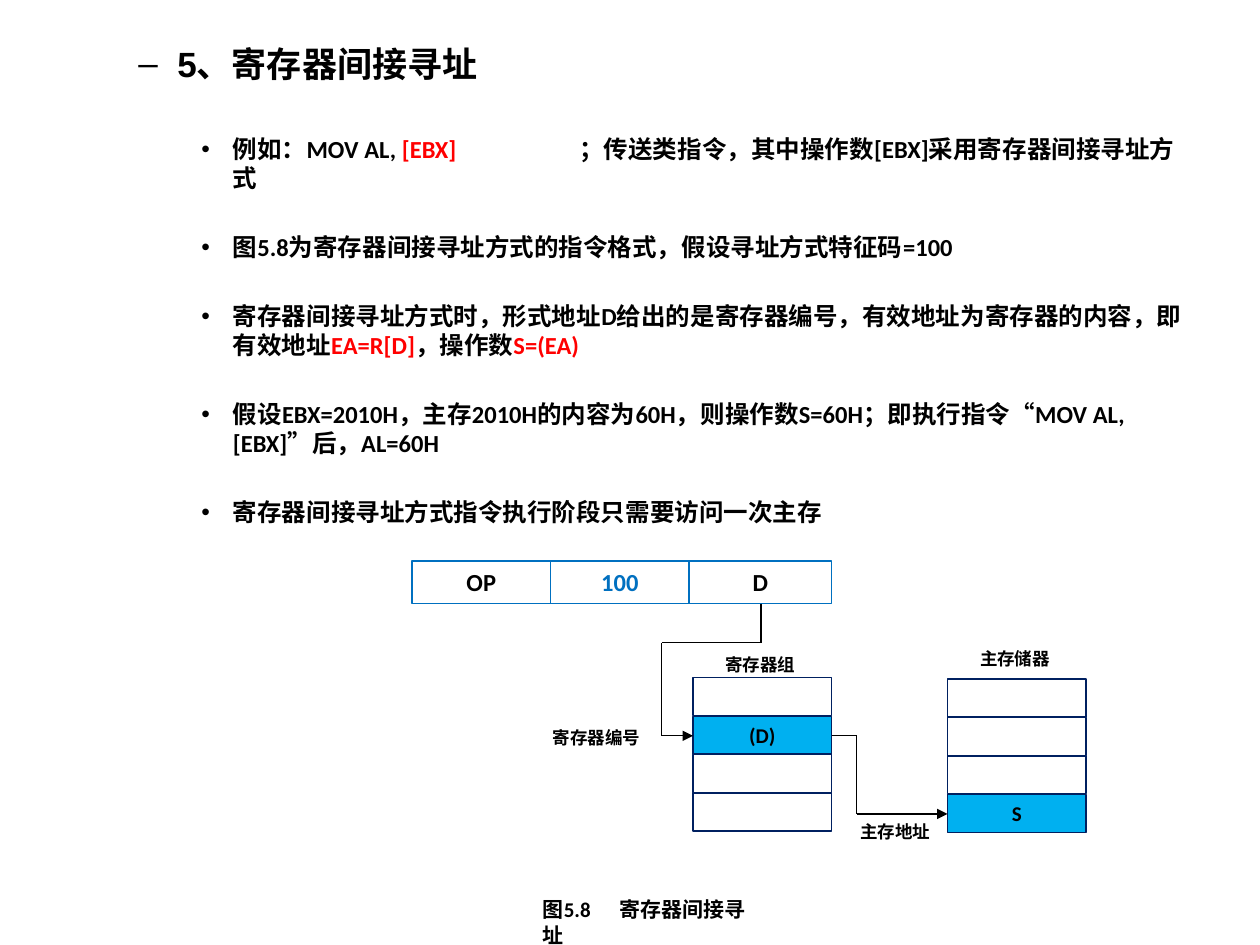
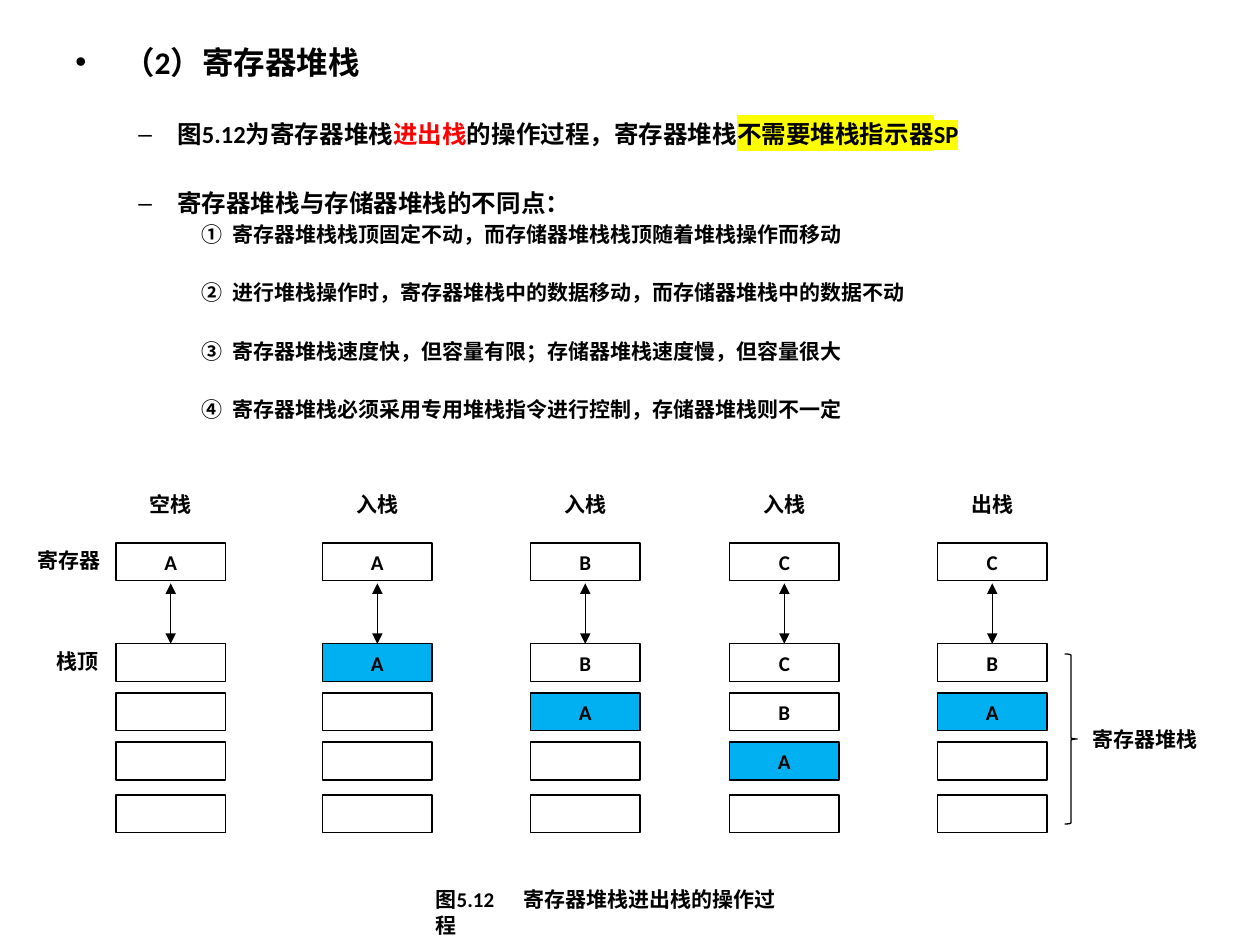
from itertools import pairwise

from lxml.etree import SubElement
from pptx import Presentation
from pptx.dml.color import RGBColor
from pptx.enum.shapes import MSO_CONNECTOR, MSO_SHAPE
from pptx.enum.text import MSO_ANCHOR, PP_ALIGN
from pptx.oxml.ns import qn
from pptx.util import Inches, Pt

BLACK = RGBColor(0x00, 0x00, 0x00)
WHITE = RGBColor(0xFF, 0xFF, 0xFF)
RED = RGBColor(0xFF, 0x00, 0x00)
YELLOW = RGBColor(0xFF, 0xFF, 0x00)
BLUE = RGBColor(0x00, 0x70, 0xC0)
NAVY = RGBColor(0x00, 0x20, 0x60)
SKY = RGBColor(0x00, 0xB0, 0xF0)

COLS, ROWS = 100, 75
# level: (left indent, hanging indent) in inches
INDENTS = {0: (0.38, 0.38), 1: (0.81, 0.31), 2: (1.25, 0.25)}
DOT, DASH, CIRCLED = "•", "–", "circleNumDbPlain"


class Deck:
    """Holds the shared style and the current slide; lengths are grid columns and rows."""

    font = "Calibri"

    def __init__(self):
        self.prs = Presentation()
        self.prs.slide_width, self.prs.slide_height = Inches(10), Inches(7.5)
        self.s = None

    def new_slide(self):
        self.s = self.prs.slides.add_slide(self.prs.slide_layouts[6])

    def x(self, cols):
        return round(self.prs.slide_width * cols / COLS)

    def y(self, rows):
        return round(self.prs.slide_height * rows / ROWS)

    def area(self, left, top, width, height):
        return self.x(left), self.y(top), self.x(width), self.y(height)

    def style(self, r, size, color=BLACK, font=None, highlight=None):
        r.font.size, r.font.bold = Pt(size), True
        r.font.color.rgb = color
        r.font.name = font or self.font
        rPr = r._r.get_or_add_rPr()
        rPr.set("lang", "zh-CN")
        if highlight:
            mark = SubElement(rPr, qn("a:highlight"))
            SubElement(mark, qn("a:srgbClr")).set("val", str(highlight))
            rPr.find(qn("a:latin")).addprevious(mark)

    def tabs(self, p, *stops):
        tab_list = SubElement(p._p.get_or_add_pPr(), qn("a:tabLst"))
        for stop in stops:
            tab = SubElement(tab_list, qn("a:tab"))
            tab.set("pos", str(Inches(stop)))
            tab.set("algn", "l")

    def bullet(self, p, level, mark):
        p.level = level
        pPr = p._p.get_or_add_pPr()
        left, hanging = INDENTS[level]
        pPr.set("marL", str(Inches(left)))
        pPr.set("indent", str(-Inches(hanging)))
        if mark == CIRCLED:
            SubElement(pPr, qn("a:buAutoNum")).set("type", mark)
        else:
            SubElement(pPr, qn("a:buFont")).set("typeface", "Arial")
            SubElement(pPr, qn("a:buChar")).set("char", mark)

    def outline(self, height, items):
        """Draw the bulleted text; an item is level, mark, size, space before, runs."""
        tf = self.s.shapes.add_textbox(*self.area(5, 2.9, 90, height)).text_frame
        tf.word_wrap = True
        for i, (level, mark, size, space, runs) in enumerate(items):
            p = tf.add_paragraph() if i else tf.paragraphs[0]
            p.space_before = Pt(space)
            self.bullet(p, level, mark)
            if any("\t" in text for text, _ in runs):
                # The same place, measured from the indent and from the box edge
                self.tabs(p, 2.75, 4)
            for text, look in runs:
                r = p.add_run()
                r.text = text
                self.style(r, size, **look)

    def label(self, left, top, width, text, size=12, align=PP_ALIGN.LEFT):
        tf = self.s.shapes.add_textbox(*self.area(left, top, width, 3)).text_frame
        tf.word_wrap = False
        tf.text = text
        p = tf.paragraphs[0]
        p.alignment = align
        self.style(p.runs[0], size)

    def caption(self, left, top, width, number, title, tab):
        tf = self.s.shapes.add_textbox(*self.area(left, top, width, 3)).text_frame
        tf.word_wrap = True
        p = tf.paragraphs[0]
        self.tabs(p, tab)
        r = p.add_run()
        r.text = f"{number}\t{title}"
        self.style(r, 12)

    def shape(self, kind, left, top, width, height, line, fill=None, weight=0.75):
        sp = self.s.shapes.add_shape(kind, *self.area(left, top, width, height))
        sp.shadow.inherit = False
        if fill is None:
            sp.fill.background()
        else:
            sp.fill.solid()
            sp.fill.fore_color.rgb = fill
        sp.line.color.rgb, sp.line.width = line, Pt(weight)
        return sp

    def cell(self, left, top, width, height, text="", size=12, color=BLACK, **look):
        sp = self.shape(MSO_SHAPE.RECTANGLE, left, top, width, height, **look)
        if not text:
            return
        tf = sp.text_frame
        tf.margin_top = tf.margin_bottom = 0
        tf.vertical_anchor = MSO_ANCHOR.MIDDLE
        tf.text = text
        p = tf.paragraphs[0]
        p.alignment = PP_ALIGN.CENTER
        self.style(p.runs[0], size, color)

    def line(self, start, end, ends=()):
        """Draw a line with arrowheads at the named ends, headEnd first."""
        c = self.s.shapes.add_connector(
            MSO_CONNECTOR.STRAIGHT,
            self.x(start[0]), self.y(start[1]), self.x(end[0]), self.y(end[1]))
        c.line.color.rgb, c.line.width = BLACK, Pt(0.75)
        spPr = c._element.spPr
        for name in ends:
            SubElement(spPr.find(qn("a:ln")), qn(f"a:{name}")).set("type", "triangle")
        SubElement(spPr, qn("a:effectLst"))

    def route(self, *points):
        """Draw an angled path that ends in an arrowhead."""
        legs = list(pairwise(points))
        for i, (start, end) in enumerate(legs, 1):
            self.line(start, end, ("tailEnd",) if i == len(legs) else ())


def register_indirect_slide(d):
    d.new_slide()
    plain, red = {}, {"color": RED}
    points = [
        [("例如：MOV AL, ", plain), ("[EBX]\t", red),
         ("；传送类指令，其中操作数[EBX]采用寄存器间接寻址方式", plain)],
        [("图5.8为寄存器间接寻址方式的指令格式，假设寻址方式特征码=100", plain)],
        [("寄存器间接寻址方式时，形式地址D给出的是寄存器编号，"
          "有效地址为寄存器的内容，即有效地址", plain),
         ("EA=R[D]", red), ("，操作数", plain), ("S=(EA)", red)],
        [("假设EBX=2010H，主存2010H的内容为60H，则操作数S=60H；"
          "即执行指令“MOV AL, [EBX]”后，AL=60H", plain)],
        [("寄存器间接寻址方式指令执行阶段只需要访问一次主存", plain)],
    ]
    title = (1, DASH, 20, 0, [("5、寄存器间接寻址", {"font": "Arial"})])
    d.outline(62.9, [title] + [(2, DOT, 14, 22.5 if i else 28, runs)
                               for i, runs in enumerate(points)])

    fields = [("OP", 32.7, 11, BLACK), ("100", 43.7, 11, BLUE), ("D", 54.7, 11.3, BLACK)]
    for text, left, width, color in fields:
        d.cell(left, 44.5, width, 3.4, text, 14, color, line=BLUE, weight=1)

    registers = (55, 53.8, ["", "(D)", "", ""])
    memory = (75.2, 53.9, ["", "", "", "S"])
    for left, top, words in (registers, memory):
        for i, word in enumerate(words):
            d.cell(left, top + 3.05 * i, 11, 3, word,
                   line=NAVY, fill=SKY if word else None)

    d.route((60.4, 47.9), (60.4, 51), (52.5, 51), (52.5, 58.4), (55, 58.4))
    d.route((66, 58.4), (68, 58.4), (68, 64.6), (75.2, 64.6))

    for left, top, width, text in [(56.6, 51.4, 7.6, "寄存器组"),
                                   (76.8, 50.9, 7.6, "主存储器"),
                                   (42.9, 57.2, 9, "寄存器编号"),
                                   (67.3, 64.7, 7.6, "主存地址")]:
        d.label(left, top, width, text, 10)
    d.caption(42.1, 70.7, 19.2, "图5.8", "寄存器间接寻址", 0.61)


def register_stack_slide(d):
    d.new_slide()
    differences = [
        "寄存器堆栈栈顶固定不动，而存储器堆栈栈顶随着堆栈操作而移动",
        "进行堆栈操作时，寄存器堆栈中的数据移动，而存储器堆栈中的数据不动",
        "寄存器堆栈速度快，但容量有限；存储器堆栈速度慢，但容量很大",
        "寄存器堆栈必须采用专用堆栈指令进行控制，存储器堆栈则不一定",
    ]
    d.outline(49.5, [
        (0, DOT, 18, 0, [("（2）寄存器堆栈", {})]),
        (1, DASH, 14, 22, [("图5.12为寄存器堆栈", {}), ("进出栈", {"color": RED}),
                           ("的操作过程，寄存器堆栈", {}),
                           ("不需要堆栈指示器SP", {"highlight": YELLOW})]),
        (1, DASH, 14, 22.5, [("寄存器堆栈与存储器堆栈的不同点：", {})]),
    ] + [(2, CIRCLED, 12, 19 if i else 2.4, [(text, {})])
         for i, text in enumerate(differences)])

    # left column, step, register, stack contents from the top
    steps = [(9.2, "空栈", "A", ""), (25.6, "入栈", "A", "A"), (42.1, "入栈", "B", "BA"),
             (57.9, "入栈", "C", "CBA"), (74.4, "出栈", "C", "BA")]
    width, height, register_top = 8.7, 3, 43.1
    stack_tops = [51.1, 55, 58.9, 63.1]
    for left, step, register, stack in steps:
        d.label(left, 38.5, width, step, align=PP_ALIGN.CENTER)
        d.cell(left, register_top, width, height, register, line=BLACK, fill=WHITE)
        for i, top in enumerate(stack_tops):
            word = stack[i:i + 1]
            is_bottom = bool(word) and i == len(stack) - 1
            d.cell(left, top, width, height, word,
                   line=BLACK, fill=SKY if is_bottom else WHITE)
        middle = left + width / 2
        d.line((middle, 46.3), (middle, stack_tops[0]), ("headEnd", "tailEnd"))

    d.shape(MSO_SHAPE.RIGHT_BRACE, 84.5, 51.9, 1, 13.5, line=BLACK)
    for left, top, label_width, text in [(2, 43, 7.1, "寄存器"), (3.5, 51, 5.4, "栈顶"),
                                         (85.7, 57.2, 10.4, "寄存器堆栈")]:
        d.label(left, top, label_width, text)
    d.caption(33.6, 69.9, 30.2, "图5.12", "寄存器堆栈进出栈的操作过程", 0.7)


def main():
    d = Deck()
    register_indirect_slide(d)
    register_stack_slide(d)
    d.prs.save("out.pptx")


if __name__ == "__main__":
    main()
